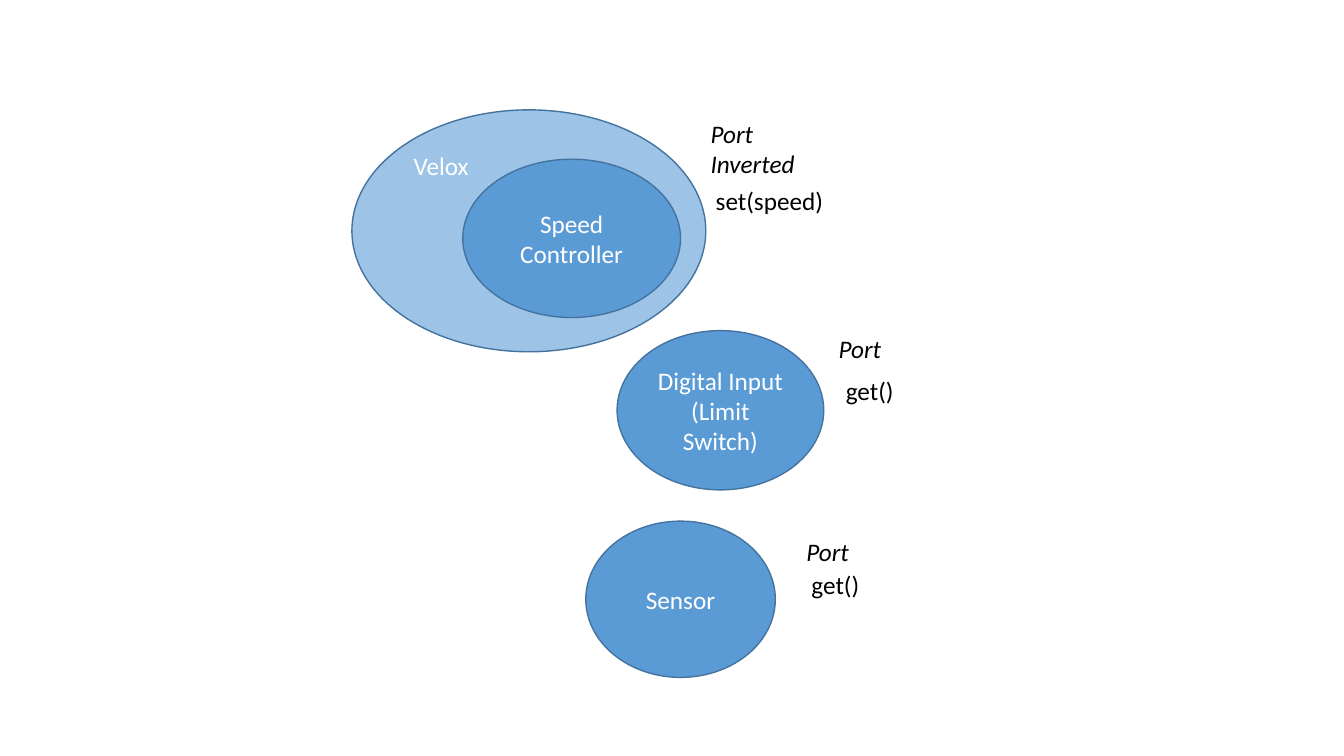
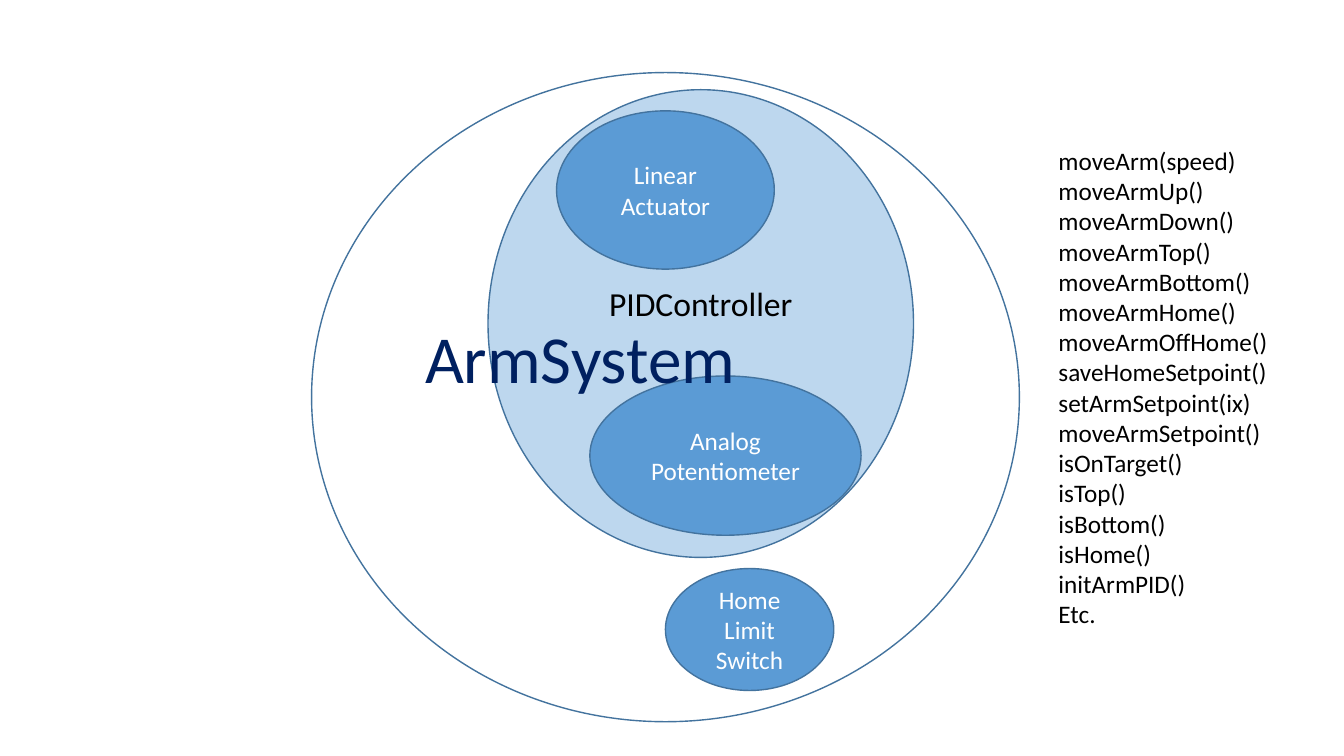
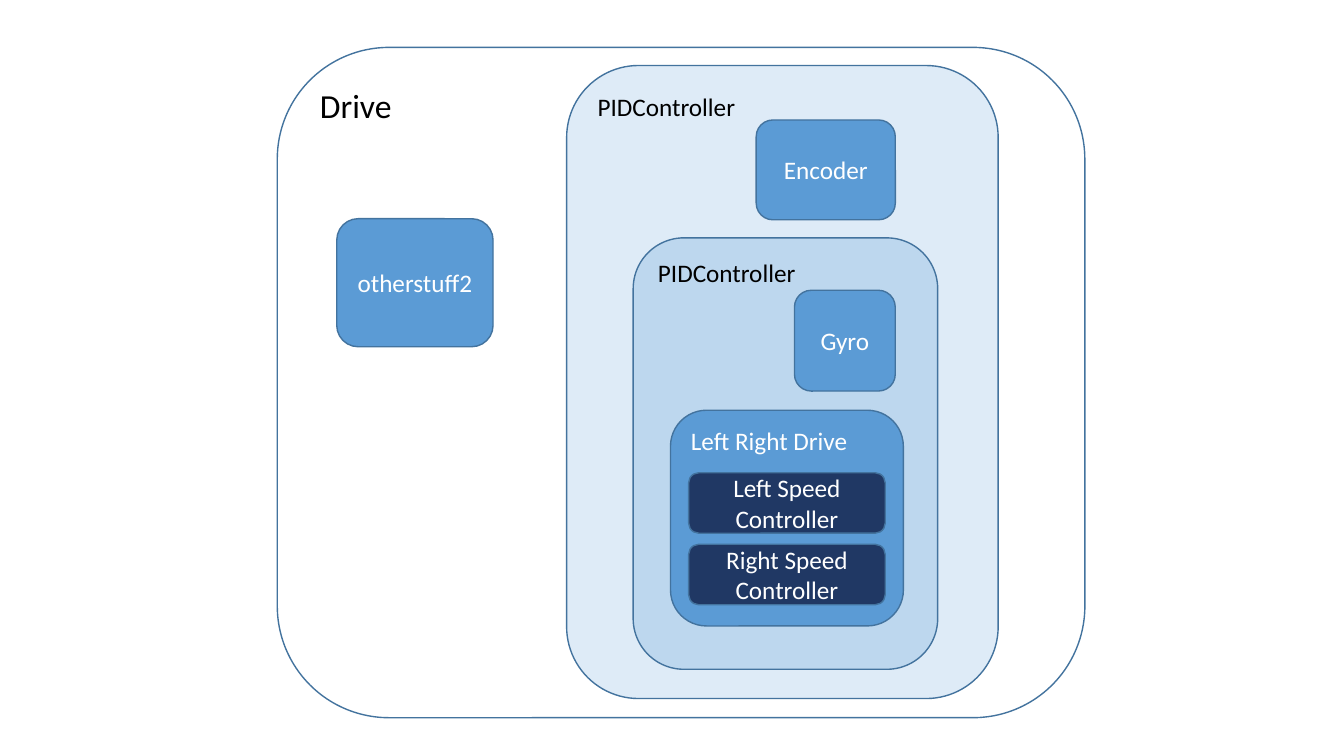
from pptx import Presentation
from pptx.dml.color import RGBColor
from pptx.enum import shapes, text
from pptx.util import Inches, Pt

FONT = "Calibri"
COLORS = {
    "line": "43739E", "white": "FFFFFF", "black": "000000", "navy": "002060",
    "dark": "203864", "blue": "5B9BD5", "mid": "9DC3E6", "light": "BDD7EE", "pale": "DEEBF7",
}
OVAL = shapes.MSO_SHAPE.OVAL
ROUNDED = shapes.MSO_SHAPE.ROUNDED_RECTANGLE
TOP_LEFT = (text.MSO_ANCHOR.TOP, text.PP_ALIGN.LEFT)
MIDDLE_LEFT = (text.MSO_ANCHOR.MIDDLE, text.PP_ALIGN.LEFT)
CENTERED = (text.MSO_ANCHOR.MIDDLE, text.PP_ALIGN.CENTER)

ARM_METHODS = [
    "moveArm(speed)", "moveArmUp()", "moveArmDown()", "moveArmTop()", "moveArmBottom()",
    "moveArmHome()", "moveArmOffHome()", "saveHomeSetpoint()", "setArmSetpoint(ix)",
    "moveArmSetpoint()", "isOnTarget()", "isTop()", "isBottom()", "isHome()", "initArmPID()", "Etc.",
]

SLIDES = [
    {
        "shape": OVAL,
        "nodes": [
            ("Velox", (3.49, 1.09, 3.51, 2.4), "mid", {"place": TOP_LEFT}),
            ("Speed Controller", (4.59, 1.58, 2.16, 1.57), "blue", {}),
            ("Digital Input (Limit Switch)", (6.12, 3.28, 2.05, 1.58), "blue", {}),
            ("Sensor", (5.81, 5.17, 1.88, 1.55), "blue", {}),
        ],
        "labels": [
            (["Port", "Inverted"], (6.95, 1.12, 1.06, 0.71), True),
            (["set(speed)"], (7, 1.79, 1.28, 0.4), False),
            (["Port"], (8.22, 3.26, 0.63, 0.4), True),
            (["get()"], (8.29, 3.67, 0.68, 0.4), False),
            (["Port"], (7.9, 5.27, 0.63, 0.4), True),
            (["get()"], (7.95, 5.6, 0.68, 0.4), False),
        ],
    },
    {
        "shape": OVAL,
        "nodes": [
            ("PIDController", (4.84, 0.89, 4.22, 4.64), "light",
             {"size": 24, "color": "black", "bottom": 0.46}),
            ("Linear Actuator", (5.52, 1.1, 2.16, 1.57), "blue", {}),
            ("Analog Potentiometer", (5.85, 3.73, 2.69, 1.58), "blue", {}),
            ("ArmSystem", (3.09, 0.72, 7.02, 6.44), None,
             {"size": 48, "color": "navy", "place": MIDDLE_LEFT, "bottom": 0.86}),
            ("Home Limit Switch", (6.6, 5.64, 1.67, 1.21), "blue", {}),
        ],
        "labels": [(ARM_METHODS, (10.4, 1.39, 2.3, 4.95), False)],
    },
    {
        "shape": ROUNDED,
        "nodes": [
            ("PIDController", (5.62, 0.65, 4.28, 6.28), "pale", {"color": "black", "place": TOP_LEFT}),
            ("PIDController", (6.28, 2.36, 3.02, 4.28), "light", {"color": "black", "place": TOP_LEFT}),
            ("Drive", (2.75, 0.47, 8.01, 6.65), None, {"size": 24, "color": "black", "place": TOP_LEFT}),
            ("Left Right Drive", (6.65, 4.07, 2.31, 2.14), "blue", {"place": TOP_LEFT}),
            ("Gyro", (7.88, 2.88, 1, 1), "blue", {}),
            ("Encoder", (7.5, 1.19, 1.38, 0.99), "blue", {}),
            ("otherstuff2", (3.34, 2.17, 1.55, 1.27), "blue", {}),
            ("Left Speed Controller", (6.83, 4.69, 1.95, 0.6), "dark", {}),
            ("Right Speed Controller", (6.83, 5.4, 1.95, 0.6), "dark", {}),
        ],
        "labels": [],
    },
]


def rgb(name):
    return RGBColor.from_string(COLORS[name])


def write(tf, lines, size, color, align, italic=False):
    tf.text = "\n".join(lines)
    for p in tf.paragraphs:
        p.alignment = align
        p.font.name = FONT
        p.font.size = Pt(size)
        p.font.italic = italic
        p.font.color.rgb = rgb(color)


def add_node(s, shape, caption, box, fill, size=18, color="white", place=CENTERED, bottom=0.05):
    sp = s.shapes.add_shape(shape, *map(Inches, box))
    sp.shadow.inherit = False
    if fill:
        sp.fill.solid()
        sp.fill.fore_color.rgb = rgb(fill)
    else:
        sp.fill.background()
    sp.line.color.rgb = rgb("line")
    sp.line.width = Pt(1)
    tf = sp.text_frame
    tf.word_wrap = True
    tf.margin_bottom = Inches(bottom)
    tf.vertical_anchor, align = place
    write(tf, [caption], size, color, align)


def add_label(s, lines, box, italic):
    tf = s.shapes.add_textbox(*map(Inches, box)).text_frame
    tf.word_wrap = False
    tf.auto_size = text.MSO_AUTO_SIZE.SHAPE_TO_FIT_TEXT
    write(tf, lines, 18, "black", text.PP_ALIGN.LEFT, italic)


prs = Presentation()
prs.slide_width, prs.slide_height = Inches(13.33), Inches(7.5)
for content in SLIDES:
    s = prs.slides.add_slide(prs.slide_layouts[6])
    for caption, box, fill, style in content["nodes"]:
        add_node(s, content["shape"], caption, box, fill, **style)
    for lines, box, italic in content["labels"]:
        add_label(s, lines, box, italic)
prs.save("out.pptx")
